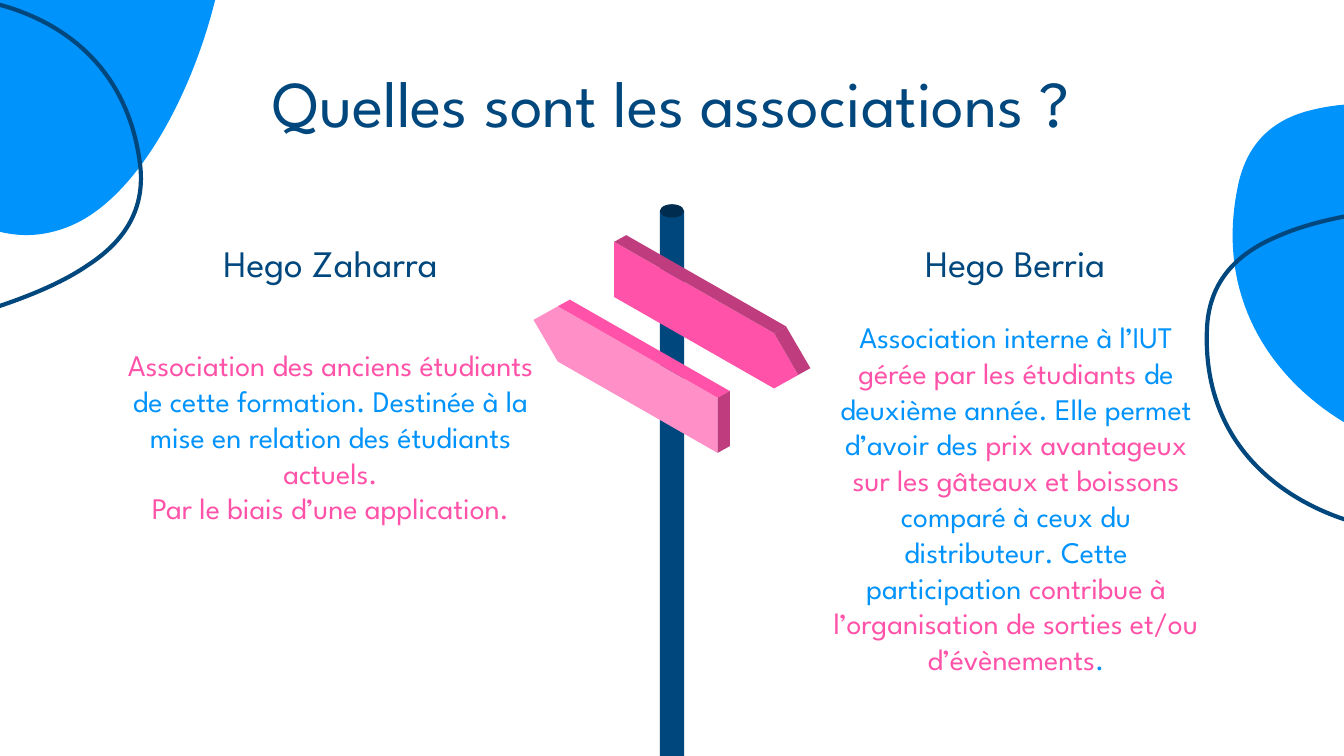
from dataclasses import dataclass
from math import cos, radians, sin

from lxml.etree import SubElement
from pptx import Presentation
from pptx.dml.color import RGBColor
from pptx.enum.shapes import MSO_SHAPE as Shape
from pptx.enum.text import MSO_ANCHOR as Anchor, MSO_AUTO_SIZE as AutoSize, PP_ALIGN as Align
from pptx.oxml.ns import qn
from pptx.util import Pt

PX = 9144
WIDTH = 1000
COMPARISON_LAYOUT = 4


@dataclass(frozen=True)
class Theme:
    font: str = "League Spartan"
    navy: str = "00477D"
    night: str = "002D4F"
    blue: str = "0093FC"
    pink: str = "FF52A8"
    rose: str = "FF8FC7"
    plum: str = "BF3D7E"
    title: int = 35
    heading: int = 20
    body: int = 16
    outline: float = 2.25


THEME = Theme()

BLOB_TILT = -12.2
BLOB_CENTRE = (1344, 202.5)
BLOB_SIZE = (912, 483)
BLOB_START = (1516, -82)
BLOB_CURVES = [
    ((1509, -80), (1502, -78), (1496, -74)),
    ((1413, -33), (1401, 64), (1278, 91)),
    ((1262, 94), (1245, 96), (1226, 97)),
    ((1150, 100), (1045, 66), (980, 81)),
    ((950, 87), (928, 104), (921, 139)),
    ((893, 275), (1026, 347), (1094, 340)),
    ((1098, 340), (1102, 339), (1106, 338)),
    ((1161, 326), (1258, 267), (1330, 251)),
    ((1348, 247), (1365, 246), (1379, 249)),
    ((1508, 279), (1542, 407), (1633, 387)),
    ((1721, 368), (1807, 187), (1787, 108)),
    ((1769, 34), (1615, -103), (1516, -82)),
]

POLE = [(491, 157), (494, 154), (500, 152), (506, 154), (509, 157),
        (509, 815), (505, 819), (500, 820), (495, 819), (491, 815)]

SIGN_FACETS = [
    (THEME.pink, [(457, 180), (457, 221), (576, 289), (594, 279), (576, 248)]),
    (THEME.plum, [(466, 175), (457, 180), (576, 248), (585, 243)]),
    (THEME.plum, [(585, 243), (576, 248), (594, 279), (603, 274)]),
    (THEME.rose, [(415, 228), (397, 238), (415, 269), (534, 337), (534, 296)]),
    (THEME.pink, [(424, 223), (415, 228), (534, 296), (543, 291)]),
    (THEME.plum, [(543, 291), (534, 296), (534, 337), (543, 332)]),
]


def paint(shape, fill=None, line=None):
    shape.shadow.inherit = False
    if fill:
        shape.fill.solid()
        shape.fill.fore_color.rgb = RGBColor.from_string(fill)
    else:
        shape.fill.background()
    if line:
        shape.line.color.rgb = RGBColor.from_string(line)
        shape.line.width = Pt(THEME.outline)
    else:
        shape.line.fill.background()


def add_polygon(page, points, **colours):
    corners = [(x * PX, y * PX) for x, y in points]
    builder = page.shapes.build_freeform(*corners[0], scale=1.0)
    builder.add_line_segments(corners[1:], close=True)
    shape = builder.convert_to_shape()
    paint(shape, **colours)
    return shape


def blob_point(point, width, height):
    angle = radians(-BLOB_TILT)
    x, y = (value - centre for value, centre in zip(point, BLOB_CENTRE))
    across = (x * cos(angle) - y * sin(angle)) / BLOB_SIZE[0]
    down = (x * sin(angle) + y * cos(angle)) / BLOB_SIZE[1]
    return (0.5 + across) * width * PX, (0.5 + down) * height * PX


def add_blob(page, left, top, width, height, tilt, **colours):
    right, bottom = left + width, top + height
    frame = [(left, top), (right, top), (right, bottom), (left, bottom)]
    shape = add_polygon(page, frame, **colours)
    outline = next(shape._element.iter(qn("a:path")))
    for child in list(outline):
        outline.remove(child)
    segments = [("a:moveTo", [BLOB_START])] + [("a:cubicBezTo", curve) for curve in BLOB_CURVES]
    for tag, points in segments:
        segment = SubElement(outline, qn(tag))
        for point in points:
            x, y = blob_point(point, width, height)
            SubElement(segment, qn("a:pt"), x=str(round(x)), y=str(round(y)))
    SubElement(outline, qn("a:close"))
    shape.rotation = tilt


def add_signpost(page):
    add_polygon(page, POLE, fill=THEME.navy)
    cap = page.shapes.add_shape(Shape.OVAL, 491 * PX, 152 * PX, 18 * PX, 10 * PX)
    paint(cap, fill=THEME.night)
    for colour, points in SIGN_FACETS:
        add_polygon(page, points, fill=colour)


def write_text(box, paragraphs, *, size, anchor):
    frame = box.text_frame
    frame.word_wrap = True
    frame.auto_size = AutoSize.NONE
    frame.vertical_anchor = anchor
    frame.margin_left = frame.margin_right = frame.margin_top = frame.margin_bottom = 10 * PX
    for index, spans in enumerate(paragraphs):
        para = frame.add_paragraph() if index else frame.paragraphs[0]
        properties = para._p.get_or_add_pPr()
        properties.set("marL", "0")
        properties.set("indent", "0")
        SubElement(properties, qn("a:buNone"))
        para.alignment = Align.CENTER
        para.line_spacing = 1.0
        para.space_before = para.space_after = Pt(0)
        for text, colour in spans:
            span = para.add_run()
            span.text = text
            span.font.name = THEME.font
            span.font.size = Pt(size)
            span.font.bold = False
            span.font.color.rgb = RGBColor.from_string(colour)


def fill_placeholder(page, index, bounds, paragraphs, **text_format):
    box = page.placeholders[index]
    box.left, box.top, box.width, box.height = (length * PX for length in bounds)
    write_text(box, paragraphs, **text_format)


def main():
    deck = Presentation()
    deck.slide_width = WIDTH * PX
    deck.slide_height = WIDTH * PX * 9 // 16
    page = deck.slides.add_slide(deck.slide_layouts[COMPARISON_LAYOUT])

    add_blob(page, -719, -214, 912, 483, 339.7, fill=THEME.blue)
    add_blob(page, -812, 12, 968, 455, 146.1, line=THEME.navy)
    add_blob(page, 888, -39, 912, 483, 347.8, fill=THEME.blue)
    add_blob(page, 860, -25, 968, 455, 336, line=THEME.navy)
    add_signpost(page)

    heading = {"size": THEME.heading, "anchor": Anchor.BOTTOM}
    body = {"size": THEME.body, "anchor": Anchor.TOP}
    fill_placeholder(page, 0, (126, 46, 748, 59),
                     [[("Quelles sont les associations ?", THEME.navy)]],
                     size=THEME.title, anchor=Anchor.MIDDLE)
    fill_placeholder(page, 1, (130, 163, 232, 59), [[("Hego Zaharra", THEME.navy)]], **heading)
    fill_placeholder(page, 2, (85, 248, 322, 175), [
        [("Association des anciens étudiants ", THEME.pink),
         ("de cette formation. Destinée à la mise en relation des étudiants ", THEME.blue),
         ("actuels.", THEME.pink)],
        [("Par le biais d’une application.", THEME.pink)],
    ], **body)
    fill_placeholder(page, 3, (663, 163, 185, 59), [[("Hego Berria", THEME.navy)]], **heading)
    fill_placeholder(page, 4, (606, 227, 300, 290), [
        [("Association interne à l’IUT ", THEME.blue),
         ("gérée par les étudiants ", THEME.pink),
         ("de deuxième année. Elle permet d’avoir des ", THEME.blue),
         ("prix avantageux sur les gâteaux et boissons", THEME.pink),
         (" comparé à ceux du distributeur. Cette participation ", THEME.blue),
         ("contribue à l’organisation de sorties et/ou d’évènements", THEME.pink),
         (".", THEME.blue)],
    ], **body)
    deck.save("out.pptx")


if __name__ == "__main__":
    main()
